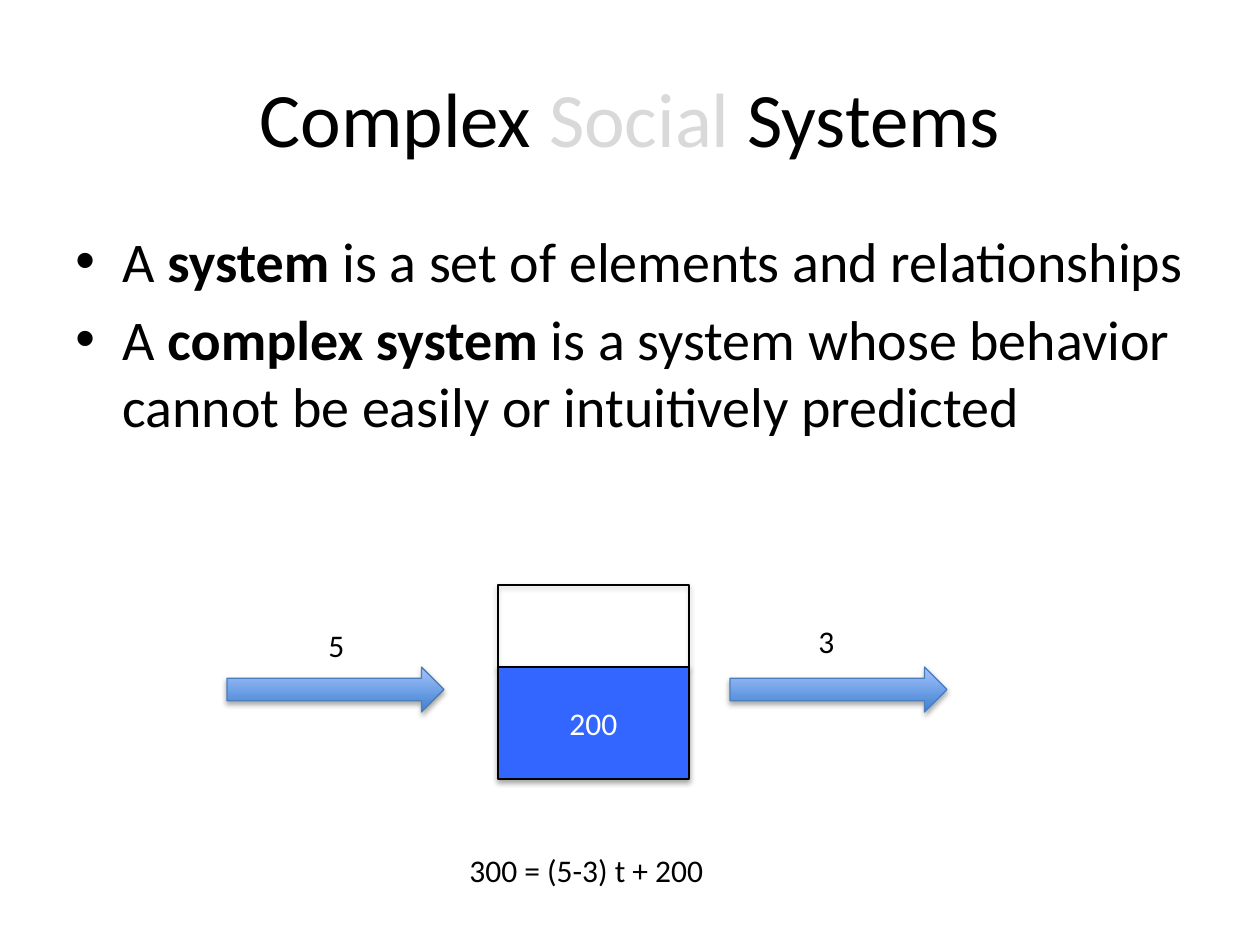
from dataclasses import dataclass

from lxml import etree
from pptx import Presentation
from pptx.dml.color import RGBColor
from pptx.enum.shapes import MSO_SHAPE
from pptx.enum.text import MSO_ANCHOR, MSO_AUTO_SIZE, PP_ALIGN
from pptx.oxml.ns import qn
from pptx.util import Pt

RECTANGLE = MSO_SHAPE.RECTANGLE
RIGHT_ARROW = MSO_SHAPE.RIGHT_ARROW
MIDDLE = MSO_ANCHOR.MIDDLE
GROW = MSO_AUTO_SIZE.SHAPE_TO_FIT_TEXT
CENTER = PP_ALIGN.CENTER

BLACK = RGBColor(0x00, 0x00, 0x00)
WHITE = RGBColor(0xFF, 0xFF, 0xFF)
GREY = RGBColor(0xD9, 0xD9, 0xD9)
WATER = RGBColor(0x33, 0x66, 0xFF)
FLOW_DARK = RGBColor(0x3F, 0x80, 0xCE)
FLOW_LIGHT = RGBColor(0xA4, 0xC4, 0xFF)
FLOW_EDGE = RGBColor(0x4B, 0x7E, 0xBC)

FONT = "Calibri"
EMU_PER_PX = 914400 / 126


@dataclass(frozen=True)
class Box:
    left: int
    top: int
    width: int
    height: int

    def emu(self) -> list[int]:
        return [px(n) for n in (self.left, self.top, self.width, self.height)]


@dataclass(frozen=True)
class Span:
    text: str
    color: RGBColor = BLACK
    bold: bool = False


@dataclass(frozen=True)
class Label:
    text: str
    box: Box


TITLE = [Span("Complex "), Span("Social", GREY), Span(" Systems")]
DEFINITIONS = [
    [Span("A "), Span("system", bold=True),
     Span(" is a set of elements and relationships")],
    [Span("A "), Span("complex system ", bold=True),
     Span("is a system whose behavior cannot be easily or intuitively predicted")],
]
TANK_EMPTY = Box(498, 585, 191, 82)
TANK_FILLED = Box(498, 667, 191, 112)
FLOWS = [Box(left, 667, 217, 45) for left in (227, 730)]
LABELS = [
    Label("300 = (5-3) t + 200", Box(457, 845, 262, 50)),
    Label("5", Box(316, 620, 42, 50)),
    Label("3", Box(806, 616, 42, 50)),
]


def px(length: int) -> int:
    return round(length * EMU_PER_PX)


def add_spans(paragraph, spans: list[Span], size: int) -> None:
    for span in spans:
        run = paragraph.add_run()
        run.text = span.text
        run.font.name = FONT
        run.font.size = Pt(size)
        run.font.bold = span.bold
        run.font.color.rgb = span.color


def add_text_frame(slide, box: Box, wrap: bool = True):
    frame = slide.shapes.add_textbox(*box.emu()).text_frame
    frame.word_wrap = wrap
    return frame


def add_title(slide) -> None:
    frame = add_text_frame(slide, Box(63, 38, 1134, 158))
    frame.vertical_anchor = MIDDLE
    frame.paragraphs[0].alignment = CENTER
    add_spans(frame.paragraphs[0], TITLE, 44)


def add_bullet(paragraph) -> None:
    properties = paragraph._p.get_or_add_pPr()
    properties.set("marL", str(px(47)))
    properties.set("indent", str(-px(47)))
    etree.SubElement(properties, qn("a:buFont"), typeface="Arial")
    etree.SubElement(properties, qn("a:buChar"), char="•")


def add_definitions(slide) -> None:
    frame = add_text_frame(slide, Box(63, 220, 1134, 292))
    for index, spans in enumerate(DEFINITIONS):
        paragraph = frame.add_paragraph() if index else frame.paragraphs[0]
        add_bullet(paragraph)
        if index:
            paragraph.space_before = Pt(6.4)
        add_spans(paragraph, spans, 32)


def add_shadowed_shape(slide, kind, box: Box, edge: RGBColor):
    shape = slide.shapes.add_shape(kind, *box.emu())
    shape.line.color.rgb = edge
    shape.line.width = Pt(0.75)
    shape.shadow.inherit = False
    effects = shape._element.spPr.find(qn("a:effectLst"))
    shadow = etree.SubElement(effects, qn("a:outerShdw"), blurRad="40000",
                              dist="23000", dir="5400000", rotWithShape="0")
    color = etree.SubElement(shadow, qn("a:srgbClr"), val=str(BLACK))
    etree.SubElement(color, qn("a:alpha"), val="35000")
    return shape


def add_tank(slide) -> None:
    empty = add_shadowed_shape(slide, RECTANGLE, TANK_EMPTY, BLACK)
    empty.fill.background()
    filled = add_shadowed_shape(slide, RECTANGLE, TANK_FILLED, BLACK)
    filled.fill.solid()
    filled.fill.fore_color.rgb = WATER
    filled.text_frame.vertical_anchor = MIDDLE
    level = filled.text_frame.paragraphs[0]
    level.alignment = CENTER
    add_spans(level, [Span("200", WHITE)], 18)


def add_flow(slide, box: Box) -> None:
    arrow = add_shadowed_shape(slide, RIGHT_ARROW, box, FLOW_EDGE)
    arrow.fill.gradient()
    arrow.fill.gradient_angle = 90
    for stop, color in zip(arrow.fill.gradient_stops, (FLOW_DARK, FLOW_LIGHT)):
        stop.color.rgb = color


def add_label(slide, label: Label) -> None:
    frame = add_text_frame(slide, label.box, wrap=False)
    frame.auto_size = GROW
    add_spans(frame.paragraphs[0], [Span(label.text)], 18)


def main() -> None:
    deck = Presentation()
    deck.slide_width, deck.slide_height = px(1260), px(945)
    slide = deck.slides.add_slide(deck.slide_layouts[6])
    add_title(slide)
    add_definitions(slide)
    add_tank(slide)
    for flow in FLOWS:
        add_flow(slide, flow)
    for label in LABELS:
        add_label(slide, label)
    deck.save("out.pptx")


if __name__ == "__main__":
    main()
